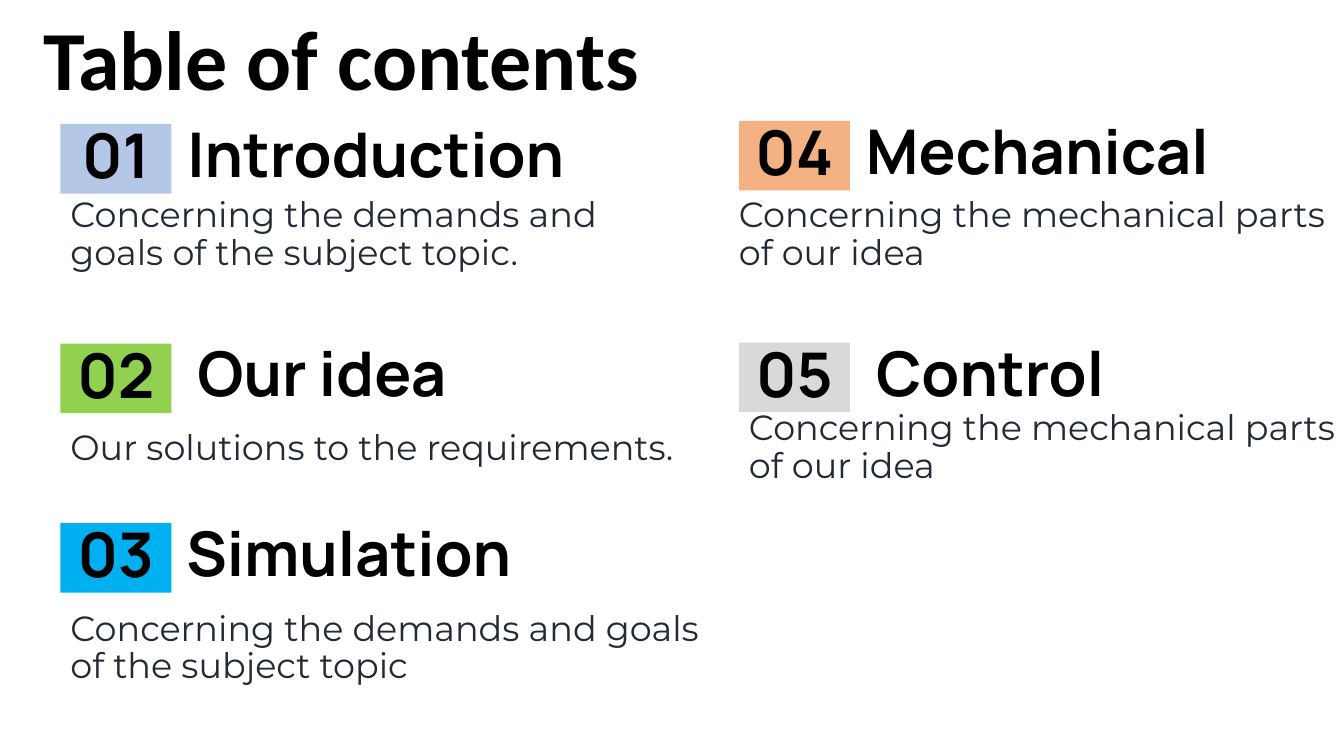
from pptx import Presentation
from pptx import util as u
from pptx.dml.color import RGBColor
from pptx.enum import shapes, text

PX = 9144  # 100 px to the inch
COLORS = {
    "heading": "000000",
    "summary": "222A35",
    "introduction": "B4C7E7",
    "idea": "92D050",
    "simulation": "00B0F0",
    "mechanical": "F4B183",
    "control": "D9D9D9",
}
BADGE_W, BADGE_H = 110, 69
LEFT, RIGHT = 60, 733  # badge edge of each column

# colour, badge (x, y), heading, its box, summary, its box
SECTIONS = [
    ("introduction", (LEFT, 123), "Introduction", (176, 157, 484, 42),
     "Concerning the demands and goals of the subject topic.", (60, 186, 619, 76)),
    ("idea", (LEFT, 341), "Our idea", (186, 375, 355, 42),
     "Our solutions to the requirements.", (60, 417, 705, 63)),
    ("simulation", (LEFT, 519), "Simulation", (175, 553, 425, 42),
     "Concerning the demands and goals of the subject topic", (60, 596, 663, 92)),
    ("mechanical", (RIGHT, 120), "Mechanical", (849, 154, 424, 42),
     "Concerning the mechanical parts of our idea", (723, 186, 619, 76)),
    ("control", (RIGHT, 340), "Control", (859, 375, 355, 42),
     "Concerning the mechanical parts of our idea", (733, 397, 619, 76)),
]


def emu(box):
    return [u.Emu(px * PX) for px in box]


def write(holder, words, size, font, color="heading", bold=True,
          anchor=text.MSO_ANCHOR.TOP, align=text.PP_ALIGN.LEFT):
    frame = holder.text_frame
    frame.word_wrap = True
    frame.vertical_anchor = anchor
    frame.margin_left = frame.margin_right = u.Emu(10 * PX)
    frame.margin_top = frame.margin_bottom = u.Emu(10 * PX)
    line = frame.paragraphs[0]
    line.text = words
    line.alignment = align
    line.line_spacing = 0.9
    line.font.size = u.Pt(size)
    line.font.name = font
    line.font.bold = bold
    line.font.color.rgb = RGBColor.from_string(COLORS[color])


def add_label(slide, box, words, size, font, **style):
    write(slide.shapes.add_textbox(*emu(box)), words, size, font, **style)


def add_badge(slide, corner, number, color):
    badge = slide.shapes.add_shape(
        shapes.MSO_SHAPE.RECTANGLE, *emu((*corner, BADGE_W, BADGE_H)))
    badge.shadow.inherit = False
    badge.fill.solid()
    badge.fill.fore_color.rgb = RGBColor.from_string(COLORS[color])
    badge.line.fill.background()
    write(badge, number, 44, "Manrope",
          anchor=text.MSO_ANCHOR.MIDDLE, align=text.PP_ALIGN.CENTER)


def main():
    deck = Presentation()
    deck.slide_width, deck.slide_height = emu((1333, 750))
    slide = deck.slides.add_slide(deck.slide_layouts[6])

    # Title
    add_label(slide, (33, 8, 886, 111), "Table of contents", 60, "Calibri")

    # Numbered sections
    for number, section in enumerate(SECTIONS, 1):
        color, corner, heading, heading_box, summary, summary_box = section
        add_badge(slide, corner, f"{number:02}", color)
        add_label(slide, heading_box, heading, 44, "Manrope",
                  anchor=text.MSO_ANCHOR.BOTTOM)
        add_label(slide, summary_box, summary, 25, "Montserrat",
                  color="summary", bold=False)

    deck.save("out.pptx")


if __name__ == "__main__":
    main()
